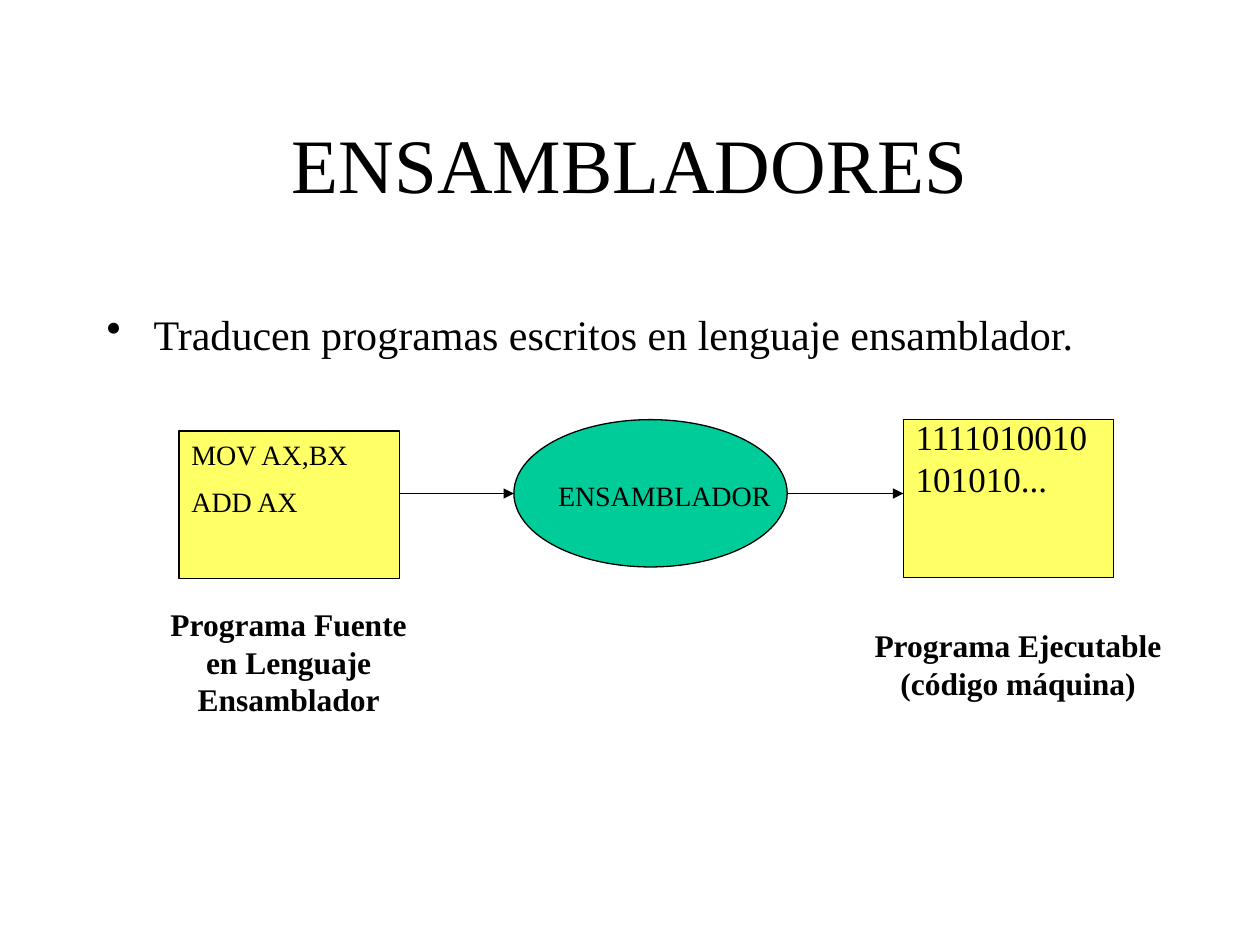
from lxml import etree
from pptx import Presentation
from pptx.dml.color import RGBColor
from pptx.enum import shapes, text
from pptx.oxml.ns import qn
from pptx.util import Cm, Pt

FONT = "Times New Roman"
HUE = {"ink": "000000", "code": "FFFF66", "tool": "00CC99"}
MID, LEFT = text.PP_ALIGN.CENTER, text.PP_ALIGN.LEFT
BOX, OVAL = shapes.MSO_SHAPE.RECTANGLE, shapes.MSO_SHAPE.OVAL

# kind, fill, (left, top, width, height) in cm, in order of flow
STEPS = [
    (BOX, "code", (3.61, 8.69, 4.45, 2.97)),
    (OVAL, "tool", (10.36, 8.46, 5.51, 2.97)),
    (BOX, "code", (18.21, 8.46, 4.24, 3.18)),
]
FLOW_Y = 9.95

# lines, (left, top, width, height) in cm, size, align, bold
NOTES = [
    (["ENSAMBLADOR"], (11, 9.53, 4.88, 0.94), 16, LEFT, False),
    (["1111010010101010..."], (18.21, 8.26, 4.24, 1.96), 20, LEFT, False),
    (["Programa Fuente en Lenguaje Ensamblador"],
     (3.18, 12.07, 5.28, 2.54), 18, MID, True),
    (["Programa Ejecutable (código máquina)"],
     (17.35, 12.5, 6.35, 1.78), 18, MID, True),
    (["MOV AX,BX", "ADD AX"], (3.61, 8.69, 3.81, 1.96), 16, LEFT, False),
]
TITLE = (["ENSAMBLADORES"], (1.9, 1.7, 21.6, 3.18), 44, MID, False)
POINT = (["Traducen programas escritos en lenguaje ensamblador."],
         (1.9, 6.1, 22.43, 11.43), 24, LEFT, False)


def tint(name):
    return RGBColor.from_string(HUE[name])


def write(slide, lines, place, size, align, bold):
    frame = slide.shapes.add_textbox(*map(Cm, place)).text_frame
    frame.word_wrap = True
    for i, line in enumerate(lines):
        para = frame.add_paragraph() if i else frame.paragraphs[0]
        para.alignment = align
        if i:
            para.space_before = Pt(8)
        run = para.add_run()
        run.text = line
        font = run.font
        font.name, font.size, font.bold = FONT, Pt(size), bold
        font.color.rgb = tint("ink")
    return frame


def bullet(para):
    props = para._p.get_or_add_pPr()
    props.set("marL", str(Cm(0.95)))
    props.set("indent", str(-Cm(0.95)))
    etree.SubElement(props, qn("a:buChar")).set("char", "•")


def edge(line):
    line.color.rgb = tint("ink")
    line.width = Pt(0.75)


def draw(slide, kind, fill, place):
    shape = slide.shapes.add_shape(kind, *map(Cm, place))
    shape.shadow.inherit = False
    shape.fill.solid()
    shape.fill.fore_color.rgb = tint(fill)
    edge(shape.line)


def arrow(slide, start, end):
    link = slide.shapes.add_connector(
        shapes.MSO_CONNECTOR.STRAIGHT, Cm(start), Cm(FLOW_Y), Cm(end), Cm(FLOW_Y))
    edge(link.line)
    tail = etree.SubElement(link.line._get_or_add_ln(), qn("a:tailEnd"))
    tail.set("type", "triangle")
    etree.SubElement(link._element.spPr, qn("a:effectLst"))


def main():
    deck = Presentation()
    deck.slide_width, deck.slide_height = Cm(25.4), Cm(19.05)
    slide = deck.slides.add_slide(deck.slide_layouts[6])

    write(slide, *TITLE).vertical_anchor = text.MSO_ANCHOR.MIDDLE
    bullet(write(slide, *POINT).paragraphs[0])
    for step in STEPS:
        draw(slide, *step)
    for (_, _, a), (_, _, b) in zip(STEPS, STEPS[1:]):
        arrow(slide, a[0] + a[2], b[0])
    for note in NOTES:
        write(slide, *note)

    deck.save("out.pptx")


if __name__ == "__main__":
    main()
